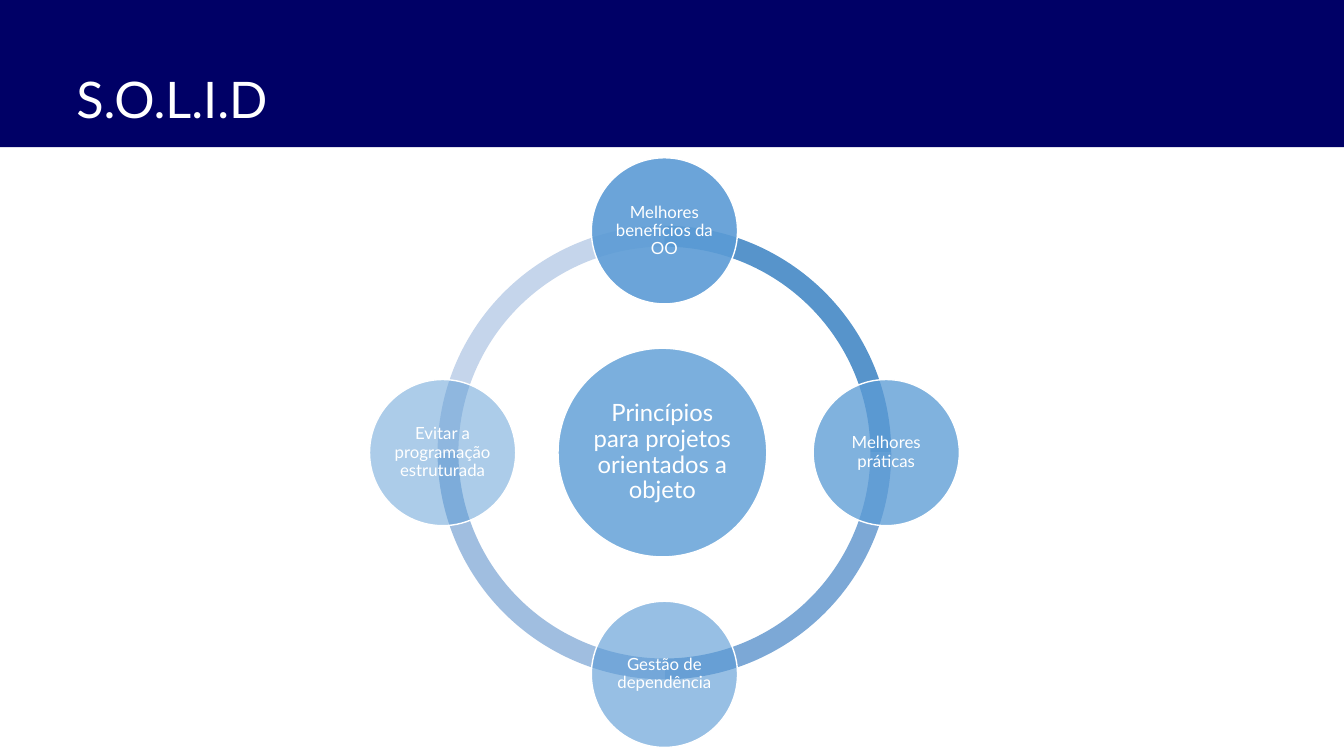
from math import cos, radians, sin

from pptx import Presentation
from pptx.dml.color import RGBColor
from pptx.enum.shapes import MSO_SHAPE
from pptx.enum.text import MSO_ANCHOR, PP_ALIGN
from pptx.oxml.ns import qn
from pptx.util import Inches, Pt
from lxml.etree import SubElement

QUARTER = 54
ARC_COLORS = [(2, "C5D5EB"), (1, "A0BEE0"), (0, "7CA8D6"), (3, "5794CB")]
GOALS = [
    ("Melhores benefícios da OO", 90),
    ("Melhores práticas", 77),
    ("Gestão de dependência", 63),
    ("Evitar a programação estruturada", 50),
]


def rgb(color):
    """Turn a hex string into a colour."""
    return RGBColor.from_string(color)


def add_filled(slide, kind, x, y, w, h, color):
    """Add a flat shape without outline or shadow."""
    sp = slide.shapes.add_shape(kind, Inches(x), Inches(y), Inches(w), Inches(h))
    sp.shadow.inherit = False
    sp.fill.solid()
    sp.fill.fore_color.rgb = rgb(color)
    sp.line.fill.background()
    return sp


def write(tf, text, size):
    """Write one white paragraph."""
    p = tf.paragraphs[0]
    p.text = text
    font = p.runs[0].font
    font.name = "Lato"
    font.size = Pt(size)
    font.color.rgb = rgb("FFFFFF")
    return p


def add_circle(slide, cx, cy, d, text, size, opacity):
    """Add a translucent circle with centred text."""
    sp = add_filled(slide, MSO_SHAPE.OVAL, cx - d / 2, cy - d / 2, d, d, "5B9BD5")
    clr = sp.fill._xPr.find(qn("a:solidFill"))[0]
    SubElement(clr, qn("a:alpha")).set("val", str(opacity * 1000))
    sp.line.color.rgb = rgb("FFFFFF")
    sp.line.width = Pt(1)
    tf = sp.text_frame
    tf.word_wrap = True
    tf.vertical_anchor = MSO_ANCHOR.MIDDLE
    tf.margin_left = tf.margin_right = Inches(0.02)
    tf.margin_top = tf.margin_bottom = Inches(0.02)
    p = write(tf, text, size)
    p.alignment = PP_ALIGN.CENTER
    p.line_spacing = 0.9


def add_header(slide, x, y, w, h):
    """Add the title band."""
    add_filled(slide, MSO_SHAPE.RECTANGLE, x, y, w, h, "000066")
    tb = slide.shapes.add_textbox(
        Inches(x + 0.66), Inches(y), Inches(11.76), Inches(h - 0.14))
    tf = tb.text_frame
    tf.word_wrap = True
    tf.vertical_anchor = MSO_ANCHOR.BOTTOM
    write(tf, "S.O.L.I.D", 36)


def add_cycle(slide, x, y, d):
    """Add the ring, its centre and the goals placed clockwise from the top."""
    cx, cy, radius = x + d / 2, y + d / 2, 2.2
    for quarter, color in ARC_COLORS:
        arc = add_filled(slide, MSO_SHAPE.BLOCK_ARC, x, y, d, d, color)
        start = quarter * QUARTER
        arc.adjustments[0] = start
        arc.adjustments[1] = (start + QUARTER) % (4 * QUARTER)
        arc.adjustments[2] = 0.046
    add_circle(slide, cx - 0.02, cy, 2.07,
               "Princípios para projetos orientados a objeto", 17, 80)
    for i, (text, opacity) in enumerate(GOALS):
        angle = radians(90 * i - 90)
        add_circle(slide, cx + radius * cos(angle), cy + radius * sin(angle),
                   1.45, text, 12, opacity)


def main():
    """Build and save the slide."""
    prs = Presentation()
    prs.slide_width, prs.slide_height = Inches(13.33), Inches(7.5)
    slide = prs.slides.add_slide(prs.slide_layouts[6])
    add_header(slide, 0, 0, 13.33, 1.46)
    add_cycle(slide, 4.34, 2.24, 4.5)
    prs.save("out.pptx")


if __name__ == "__main__":
    main()
